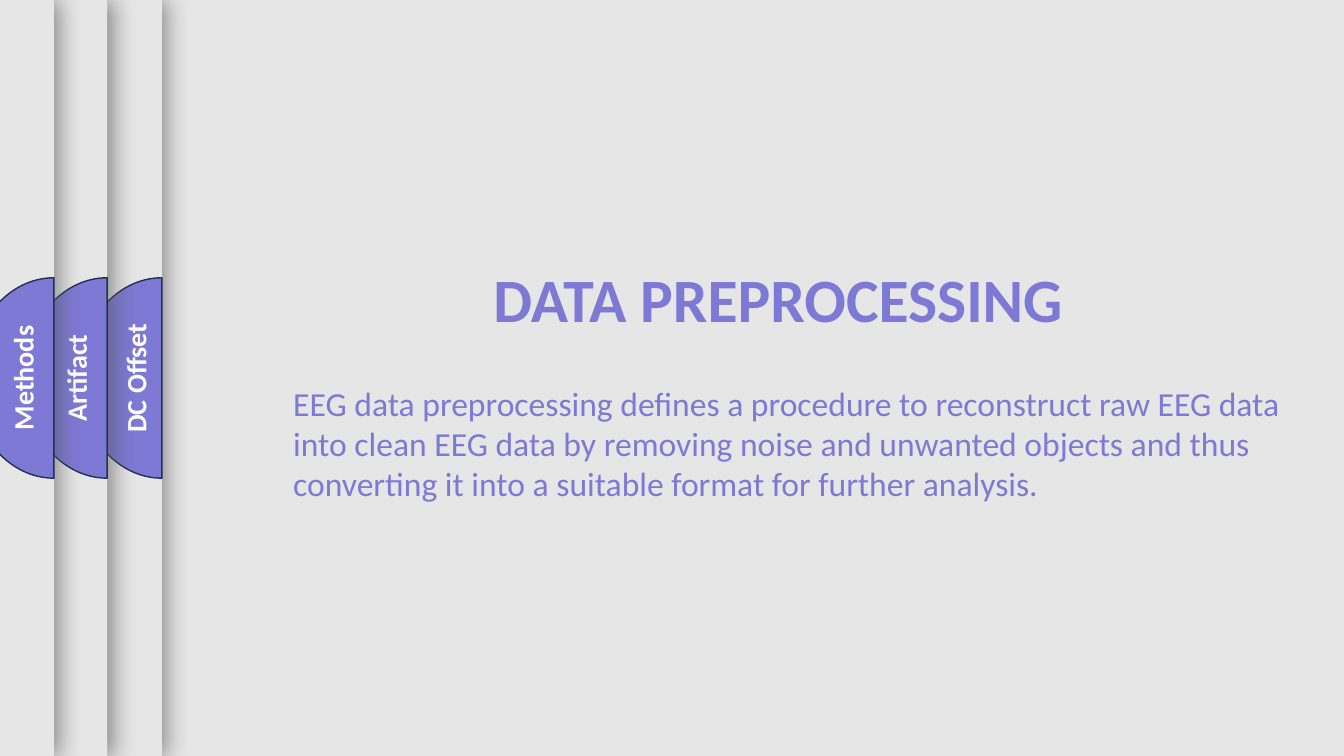
"""Build the data preprocessing slide with its three stacked side tabs."""
from lxml import etree
from pptx import Presentation
from pptx.dml.color import RGBColor
from pptx.enum import shapes, text
from pptx.oxml import ns
from pptx.util import Cm, Pt

COLORS = {"back": "E7E6E6", "violet": "7D79D4", "outline": "1E3256",
          "white": "FFFFFF", "shadow": "595959"}
WIDTH, HEIGHT = Cm(33.87), Cm(19.05)
TAB_WIDTH, TAB_HEIGHT = Cm(2.11), Cm(5.05)
LABEL_WIDTH, LABEL_HEIGHT = Cm(4.04), Cm(1.12)
ARC = 0.55
BODY = ("EEG data preprocessing defines a procedure to reconstruct raw EEG data "
        "into clean EEG data by removing noise and unwanted objects and thus "
        "converting it into a suitable format for further analysis.")


def color(name):
    return RGBColor.from_string(COLORS[name])


def add_shadow(sp):
    effects = etree.SubElement(sp._element.spPr, ns.qn("a:effectLst"))
    shadow = etree.SubElement(effects, ns.qn("a:outerShdw"), blurRad=str(Pt(17)),
                              dist=str(Pt(3)), dir="0", algn="l", rotWithShape="0")
    tint = etree.SubElement(shadow, ns.qn("a:srgbClr"), val=COLORS["shadow"])
    etree.SubElement(tint, ns.qn("a:alpha"), val="65000")


def add_text(parent, box, content, size, tint, bold=False, centered=False):
    sp = parent.add_textbox(*box)
    tf = sp.text_frame
    tf.word_wrap = True
    tf.auto_size = text.MSO_AUTO_SIZE.SHAPE_TO_FIT_TEXT
    tf.text = content
    p = tf.paragraphs[0]
    p.alignment = text.PP_ALIGN.CENTER if centered else text.PP_ALIGN.LEFT
    font = p.runs[0].font
    font.name, font.size, font.bold = "Calibri", Pt(size), bold
    font.color.rgb = color(tint)
    return sp


def add_sheet(parent, edge):
    sp = parent.add_shape(shapes.MSO_SHAPE.RECTANGLE, edge - WIDTH, 0, WIDTH, HEIGHT)
    sp.fill.solid()
    sp.fill.fore_color.rgb = color("back")
    sp.line.fill.background()
    add_shadow(sp)


def round_corner(line, points):
    curve = etree.Element(ns.qn("a:cubicBezTo"))
    for x, y in points:
        etree.SubElement(curve, ns.qn("a:pt"), x=str(round(x)), y=str(round(y)))
    line.getparent().replace(line, curve)


def add_half_disc(parent, edge):
    top = (HEIGHT - TAB_HEIGHT) // 2
    middle, bottom = HEIGHT // 2, top + TAB_HEIGHT
    outline = parent.build_freeform(edge, top)
    outline.add_line_segments([(edge, bottom), (edge - TAB_WIDTH, middle), (edge, top)])
    sp = outline.convert_to_shape()
    w, h, r = TAB_WIDTH, TAB_HEIGHT, TAB_HEIGHT / 2
    lower, upper = list(sp._element.iter(ns.qn("a:lnTo")))[1:3]
    round_corner(lower, [(w * (1 - ARC), h), (0, r * (1 + ARC)), (0, r)])
    round_corner(upper, [(0, r * (1 - ARC)), (w * (1 - ARC), 0), (w, 0)])
    sp.shadow.inherit = False
    sp.fill.solid()
    sp.fill.fore_color.rgb = color("violet")
    sp.line.color.rgb = color("outline")
    sp.line.width = Pt(1)


def add_tab(s, label, edge, label_center):
    parent = s.shapes.add_group_shape().shapes
    add_sheet(parent, edge)
    add_half_disc(parent, edge)
    box = (label_center - LABEL_WIDTH // 2, (HEIGHT - LABEL_HEIGHT) // 2,
           LABEL_WIDTH, LABEL_HEIGHT)
    add_text(parent, box, label, 20, "white", bold=True, centered=True).rotation = 270


def main():
    prs = Presentation()
    prs.slide_width, prs.slide_height = WIDTH, HEIGHT
    s = prs.slides.add_slide(prs.slide_layouts[6])
    s.background.fill.solid()
    s.background.fill.fore_color.rgb = color("back")
    add_tab(s, "DC Offset", Cm(4.08), Cm(3.42))
    add_tab(s, "Artifact", Cm(2.7), Cm(1.92))
    add_text(s.shapes, (Cm(11.18), Cm(6.44), Cm(16.87), Cm(2.13)),
             "DATA PREPROCESSING", 44, "violet", bold=True, centered=True)
    add_text(s.shapes, (Cm(7.14), Cm(9.52), Cm(26.16), Cm(4.37)), BODY, 24, "violet")
    add_tab(s, "Methods", Cm(1.36), Cm(0.58))
    prs.save("out.pptx")


if __name__ == "__main__":
    main()
